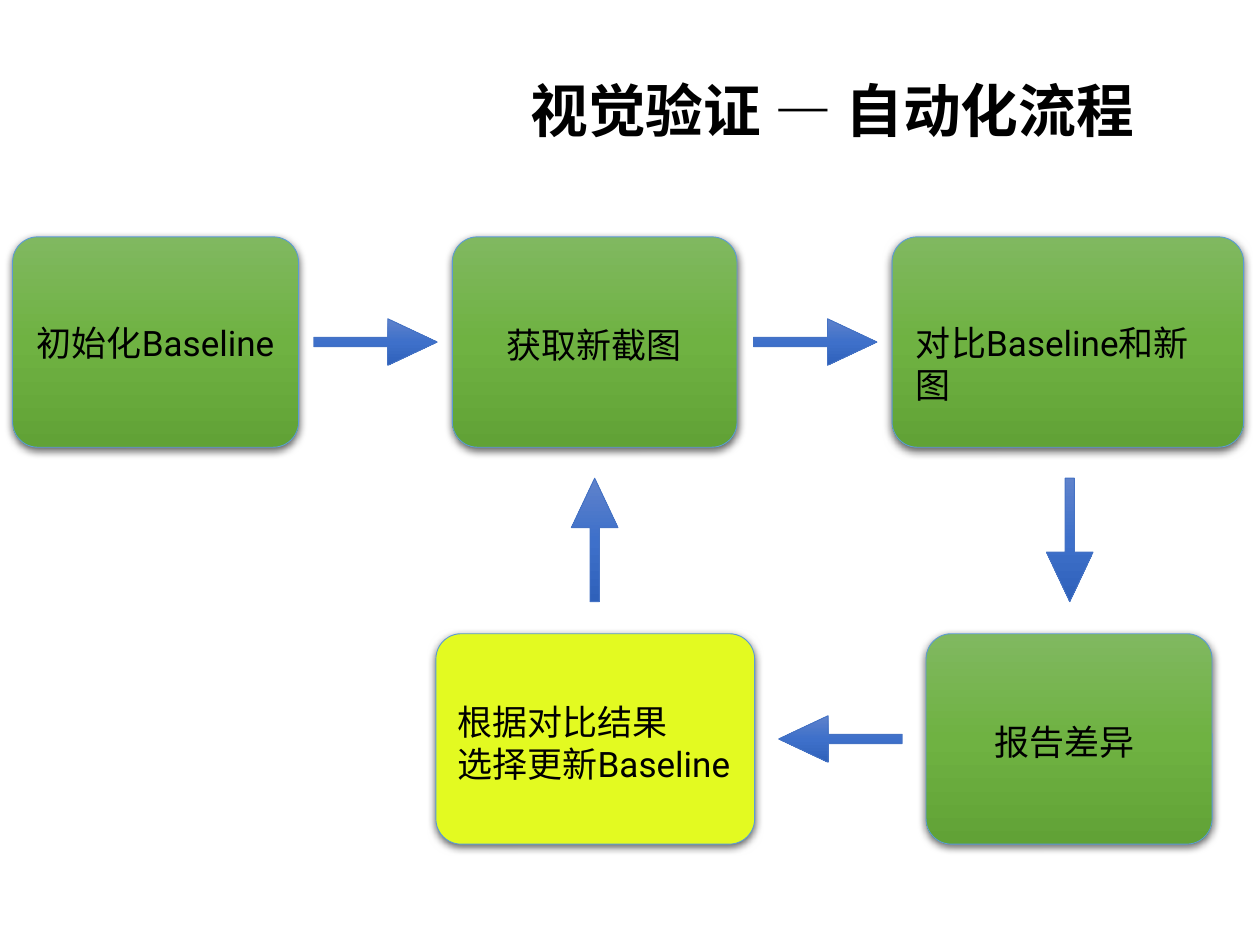
"""Build the visual checking flow slide."""
from lxml import etree
from pptx import Presentation
from pptx.dml.color import RGBColor
from pptx.enum import shapes as sh, text as tx
from pptx.oxml import ns
from pptx.util import Inches, Pt

TITLE = "视觉验证 — 自动化流程"
GREEN = ("80B860", "6FB242", "61A236")
BLUE = ("5F82CB", "3E70CA", "2F61BA")
LIME = "E3FA21"
TOP, LOW, TALL = 1.88, 5.03, 1.67
STEPS = [
    (0.1, TOP, 2.27, GREEN, ["初始化Baseline"], (0.24, 2.5, 1.99, 0.42)),
    (3.59, TOP, 2.26, GREEN, ["获取新截图"], (3.97, 2.52, 1.52, 0.38)),
    (7.08, TOP, 2.79, GREEN, ["对比Baseline和新图"], (7.22, 2.5, 2.53, 0.42)),
    (7.35, LOW, 2.27, GREEN, ["报告差异"], (7.84, 5.67, 1.3, 0.38)),
    (3.46, LOW, 2.53, LIME, ["根据对比结果", "选择更新Baseline"], (3.58, 5.51, 2.28, 0.71)),
]
ARROWS = [(2.49, 2.53, 0), (5.98, 2.53, 0), (8, 4.1, 90), (4.23, 4.1, 270), (6.18, 5.68, 180)]


def color(code):
    return RGBColor.from_string(code)


def node(root, tag, **attrs):
    return etree.SubElement(root, ns.qn(tag), attrs)


def shade(fill, stops):
    fill.gradient()
    fill.gradient_angle = 270
    grad = fill._xPr.find(ns.qn("a:gradFill"))
    grad.set("rotWithShape", "0")
    group = grad.find(ns.qn("a:gsLst"))
    for old in list(group):
        group.remove(old)
    for i, code in enumerate(stops):
        stop = node(group, "a:gs", pos=str(i * 50000))
        node(stop, "a:srgbClr", val=code)


def block(page, kind, area, adj, fill, line):
    shape = page.shapes.add_shape(kind, *map(Inches, area))
    for i, value in enumerate(adj):
        shape.adjustments[i] = value
    if isinstance(fill, str):
        shape.fill.solid()
        shape.fill.fore_color.rgb = color(fill)
    else:
        shade(shape.fill, fill)
    shape.line.color.rgb = color(line)
    shape.line.width = Pt(0.5)
    shape.shadow.inherit = False
    return shape


def cast(shape):
    group = shape._element.spPr.find(ns.qn("a:effectLst"))
    drop = node(group, "a:outerShdw", blurRad=str(Pt(5)), dist=str(Pt(1.5)),
                dir="5400000", rotWithShape="0")
    tint = node(drop, "a:srgbClr", val="000000")
    node(tint, "a:alpha", val="63000")


def write(page, lines, area, size=20, face="Roboto", bold=False, anchor="TOP", space=1.0):
    frame = page.shapes.add_textbox(*map(Inches, area)).text_frame
    frame.word_wrap = True
    frame.vertical_anchor = tx.MSO_ANCHOR[anchor]
    for side in ("left", "top", "right", "bottom"):
        setattr(frame, "margin_" + side, Inches(0.05))
    for i, line in enumerate(lines):
        para = frame.add_paragraph() if i else frame.paragraphs[0]
        para.line_spacing = space
        run = para.add_run()
        run.text = line
        run.font.size = Pt(size)
        run.font.name = face
        run.font.bold = bold
        run.font.color.rgb = color("000000")


def main():
    deck = Presentation()
    deck.slide_width, deck.slide_height = Inches(10), Inches(7.5)
    page = deck.slides.add_slide(deck.slide_layouts[6])
    write(page, [TITLE], (4.16, 0.18, 5.61, 1.45), size=33, face="Arial",
          bold=True, anchor="MIDDLE", space=0.9)
    for left, top, wide, fill, lines, area in STEPS:
        cast(block(page, sh.MSO_SHAPE.ROUNDED_RECTANGLE, (left, top, wide, TALL),
                   [0.12], fill, "5B9BD5"))
        write(page, lines, area)
    for left, top, turn in ARROWS:
        arrow = block(page, sh.MSO_SHAPE.RIGHT_ARROW, (left, top, 0.98, 0.37),
                      [0.2, 1.06], BLUE, "4472C4")
        arrow.rotation = turn
    deck.save("out.pptx")


if __name__ == "__main__":
    main()
